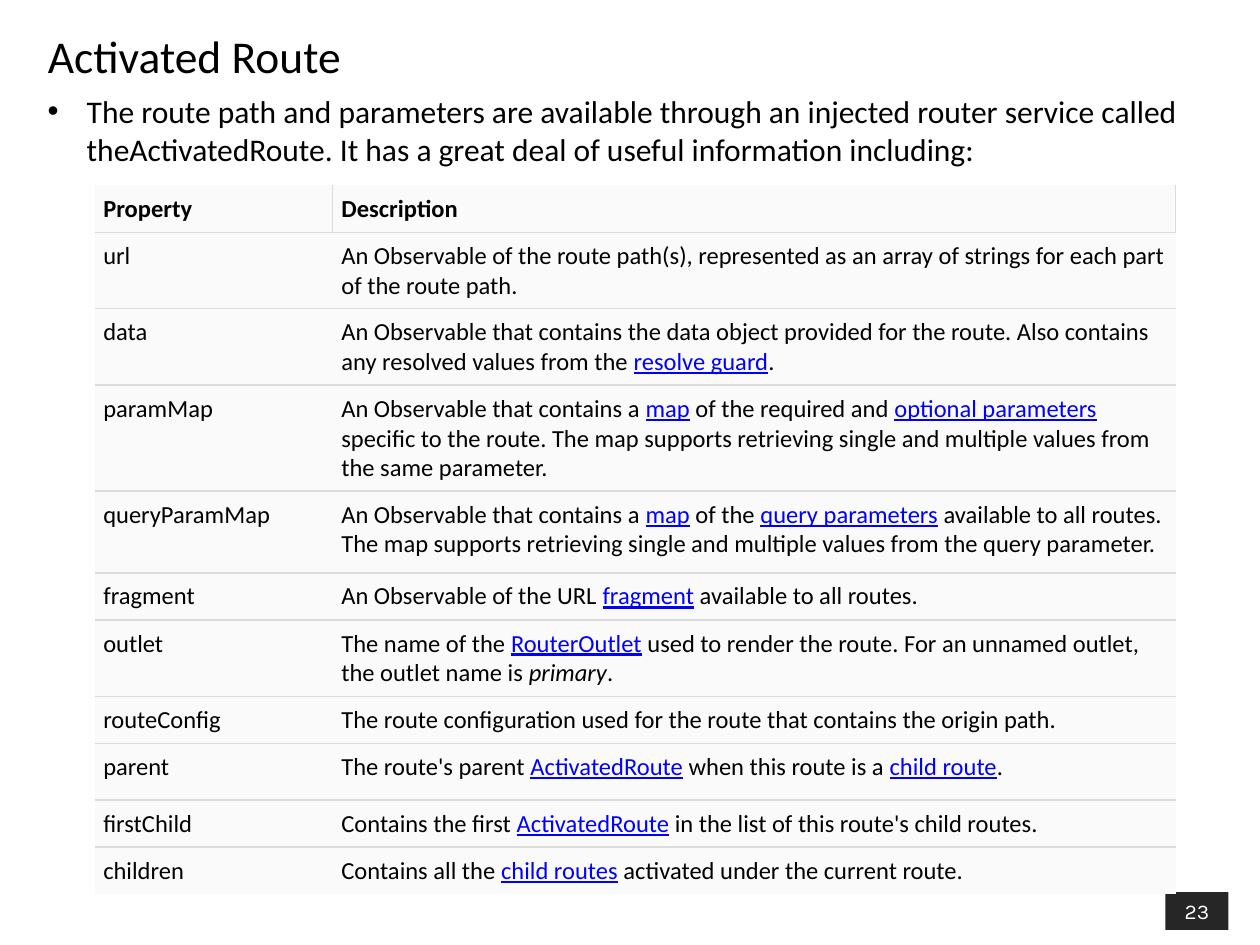
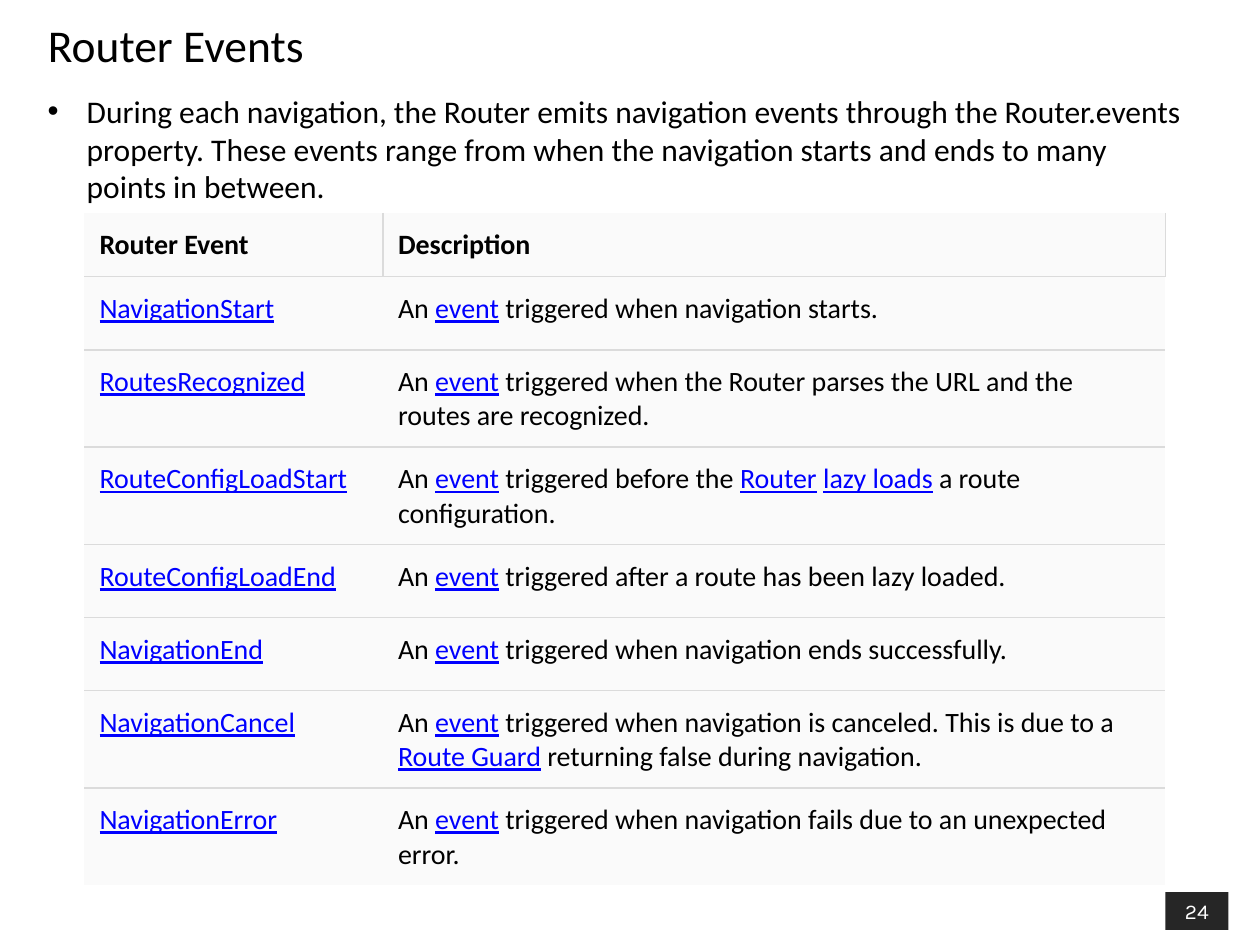
from dataclasses import dataclass

from lxml.etree import SubElement
from pptx import Presentation
from pptx.dml.color import RGBColor
from pptx.enum.shapes import MSO_SHAPE
from pptx.enum.text import MSO_ANCHOR, MSO_AUTO_SIZE, PP_ALIGN
from pptx.oxml.ns import qn
from pptx.util import Inches, Pt


@dataclass(frozen=True)
class Theme:
    ink: str = "000000"
    link: str = "0000FF"
    paper: str = "FFFFFF"
    cell: str = "FAFAFA"
    rule: str = "DBDBDB"
    badge: str = "262626"
    font: str = "Calibri"
    badge_font: str = "Karla"
    title_size: int = 26
    intro_size: int = 18
    badge_size: int = 12
    rule_width: int = 1


THEME = Theme()
TITLE_ONLY = 5
MARGIN = 0.28

# In cell texts, [..] marks a link and *..* marks italics.
ROUTE_PROPERTIES = [
    ("Property", "Description"),
    ("url", "An Observable of the route path(s), represented as an array of strings "
            "for each part of the route path."),
    ("data", "An Observable that contains the data object provided for the route. "
             "Also contains any resolved values from the [resolve guard]."),
    ("paramMap", "An Observable that contains a [map] of the required and "
                 "[optional parameters] specific to the route. The map supports "
                 "retrieving single and multiple values from the same parameter."),
    ("queryParamMap", "An Observable that contains a [map] of the [query parameters] "
                      "available to all routes. The map supports retrieving single "
                      "and multiple values from the query parameter."),
    ("fragment", "An Observable of the URL [fragment] available to all routes."),
    ("outlet", "The name of the [RouterOutlet] used to render the route. For an "
               "unnamed outlet, the outlet name is *primary*."),
    ("routeConfig", "The route configuration used for the route that contains the "
                    "origin path."),
    ("parent", "The route's parent [ActivatedRoute] when this route is a [child route]."),
    ("firstChild", "Contains the first [ActivatedRoute] in the list of this route's "
                   "child routes."),
    ("children", "Contains all the [child routes] activated under the current route."),
]

ROUTER_EVENTS = [
    ("Router Event", "Description"),
    ("[NavigationStart]", "An [event] triggered when navigation starts."),
    ("[RoutesRecognized]", "An [event] triggered when the Router parses the URL and "
                           "the routes are recognized."),
    ("[RouteConfigLoadStart]", "An [event] triggered before the [Router] [lazy loads] "
                               "a route configuration."),
    ("[RouteConfigLoadEnd]", "An [event] triggered after a route has been lazy loaded."),
    ("[NavigationEnd]", "An [event] triggered when navigation ends successfully."),
    ("[NavigationCancel]", "An [event] triggered when navigation is canceled. This is "
                           "due to a [Route Guard] returning false during navigation."),
    ("[NavigationError]", "An [event] triggered when navigation fails due to an "
                          "unexpected error."),
]


def rgb(color):
    return RGBColor.from_string(color)


def style(run, size, color=THEME.ink, font=THEME.font):
    run.font.name = font
    run.font.size = Pt(size)
    run.font.color.rgb = rgb(color)


def place(shape, left, top, width, height):
    shape.left, shape.top = Inches(left), Inches(top)
    shape.width, shape.height = Inches(width), Inches(height)


def add_title(slide, text, top):
    title = slide.shapes.title
    place(title, MARGIN, top, 7.94, 0.77)
    frame = title.text_frame
    frame.text = text
    frame.auto_size = MSO_AUTO_SIZE.NONE
    frame.vertical_anchor = MSO_ANCHOR.MIDDLE
    frame.paragraphs[0].alignment = PP_ALIGN.LEFT
    style(frame.paragraphs[0].runs[0], THEME.title_size)


def add_page_badge(slide, number):
    badge = slide.shapes.add_shape(MSO_SHAPE.RECTANGLE, Inches(9.25), Inches(7.08),
                                   Inches(0.5), Inches(0.3))
    badge.shadow.inherit = False
    badge.fill.solid()
    badge.fill.fore_color.rgb = rgb(THEME.badge)
    badge.line.fill.background()
    badge.text_frame.text = str(number)
    label = badge.text_frame.paragraphs[0]
    label.alignment = PP_ALIGN.CENTER
    style(label.runs[0], THEME.badge_size, THEME.paper, THEME.badge_font)


def add_bulleted_intro(slide, text, height):
    intro = slide.shapes.add_textbox(Inches(MARGIN), Inches(0.68), Inches(9.29), Inches(height))
    frame = intro.text_frame
    frame.word_wrap = True
    frame.text = text
    style(frame.paragraphs[0].runs[0], THEME.intro_size)
    properties = frame.paragraphs[0]._p.get_or_add_pPr()
    indent = Inches(0.31)
    properties.set("marL", str(indent))
    properties.set("indent", str(-indent))
    SubElement(properties, qn("a:buFont"), typeface="Arial")
    SubElement(properties, qn("a:buChar"), char="•")


def write_marked_text(paragraph, text, size, bold):
    """Write text into runs, with [..] as a link and *..* as italics."""
    for i, span in enumerate(text.replace("]", "[").split("[")):
        is_link = i % 2 == 1
        for j, piece in enumerate(span.split("*")):
            if not piece:
                continue
            run = paragraph.add_run()
            run.text = piece
            style(run, size, THEME.link if is_link else THEME.ink)
            run.font.bold = bold
            run.font.underline = is_link
            run.font.italic = j % 2 == 1


def set_borders(cell, ruled_sides):
    """Rule the given sides (letters of LRTB) and clear the others."""
    properties = cell._tc.get_or_add_tcPr()
    for side in "LRTB":
        line = SubElement(properties, qn(f"a:ln{side}"), w=str(Pt(THEME.rule_width)))
        if side in ruled_sides:
            fill = SubElement(line, qn("a:solidFill"))
            SubElement(fill, qn("a:srgbClr"), val=THEME.rule)
        else:
            SubElement(line, qn("a:noFill"))


def ruled_sides(row, column, row_count):
    if row == 0:
        return "RB" if column == 0 else "LRB"
    return "T" if row == row_count - 1 else "TB"


def add_reference_table(slide, entries, left, top, widths, heights, size, inset):
    table = slide.shapes.add_table(len(entries), len(widths), Inches(left), Inches(top),
                                   Inches(sum(widths)), Inches(sum(heights))).table
    table.first_row = table.horz_banding = False
    for column, width in zip(table.columns, widths):
        column.width = Inches(width)
    for row, height in zip(table.rows, heights):
        row.height = Inches(height)
    for r, entry in enumerate(entries):
        for c, text in enumerate(entry):
            cell = table.cell(r, c)
            set_borders(cell, ruled_sides(r, c, len(entries)))
            cell.fill.solid()
            cell.fill.fore_color.rgb = rgb(THEME.cell)
            cell.margin_left = cell.margin_right = Inches(inset)
            cell.margin_top = cell.margin_bottom = Inches(inset)
            write_marked_text(cell.text_frame.paragraphs[0], text, size, bold=r == 0)


def add_topic_slide(deck, number, title, title_top, intro, intro_height):
    slide = deck.slides.add_slide(deck.slide_layouts[TITLE_ONLY])
    add_page_badge(slide, number)
    add_title(slide, title, title_top)
    add_bulleted_intro(slide, intro, intro_height)
    return slide


def main():
    deck = Presentation()
    deck.slide_width, deck.slide_height = Inches(10), Inches(7.5)

    activated_route = add_topic_slide(
        deck, 23, "Activated Route", 0.05,
        "The route path and parameters are available through an injected router service "
        "called theActivatedRoute. It has a great deal of useful information including:", 0.71)
    add_reference_table(
        activated_route, ROUTE_PROPERTIES, 0.75, 1.47, widths=[1.89, 6.69],
        heights=[0.25, 0.45, 0.55, 0.75, 0.65, 0.35, 0.45, 0.35, 0.45, 0.35, 0.35],
        size=14, inset=0.07)

    router_events = add_topic_slide(
        deck, 24, "Router Events", -0.03,
        "During each navigation, the Router emits navigation events through "
        "the Router.events property. These events range from when the navigation starts "
        "and ends to many points in between.", 1.01)
    add_reference_table(
        router_events, ROUTER_EVENTS, 0.67, 1.69, widths=[2.37, 6.21],
        heights=[0.41, 0.58, 0.74, 0.74, 0.58, 0.58, 0.74, 0.58],
        size=16, inset=0.12)

    deck.save("out.pptx")


if __name__ == "__main__":
    main()
